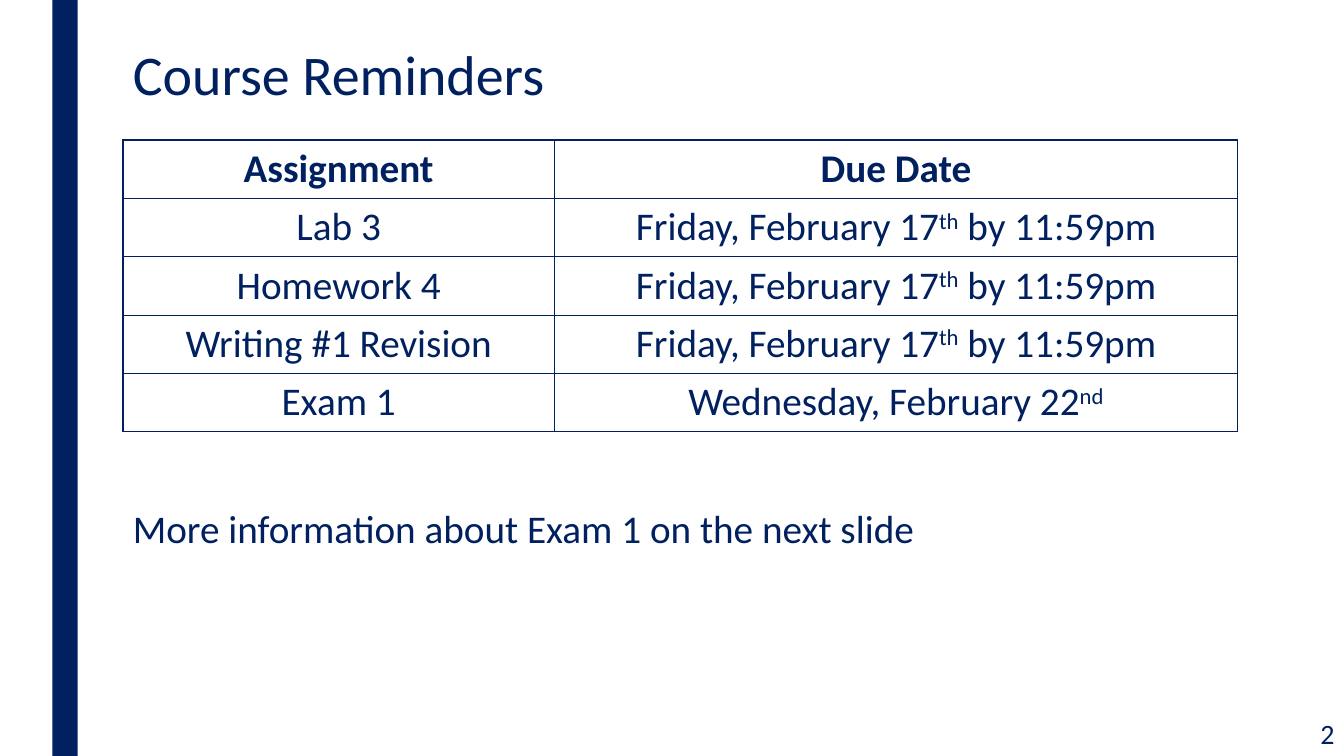
from lxml import etree
from pptx import Presentation
from pptx.dml.color import RGBColor
from pptx.enum.shapes import MSO_SHAPE
from pptx.enum.text import MSO_ANCHOR, PP_ALIGN
from pptx.oxml.ns import qn
from pptx.util import Cm, Pt

NAVY = RGBColor(0x00, 0x20, 0x60)
FONT = "Calibri"
RECTANGLE = MSO_SHAPE.RECTANGLE
TOP, MIDDLE = MSO_ANCHOR.TOP, MSO_ANCHOR.MIDDLE
LEFT, CENTER, RIGHT = PP_ALIGN.LEFT, PP_ALIGN.CENTER, PP_ALIGN.RIGHT

SLIDE_WIDTH, SLIDE_HEIGHT = Cm(33.87), Cm(19.05)
CONTENT_LEFT, CONTENT_WIDTH = Cm(3.1), Cm(28.09)
COLUMN_WIDTHS = [Cm(10.87), Cm(17.22)]
ROW_HEIGHT = Cm(1.47)
SUPERSCRIPT_MARK = "^"

FRIDAY = "Friday, February 17^th^ by 11:59pm"
REMINDERS = [
    ("Assignment", "Due Date"),
    ("Lab 3", FRIDAY),
    ("Homework 4", FRIDAY),
    ("Writing #1 Revision", FRIDAY),
    ("Exam 1", "Wednesday, February 22^nd^"),
]


def apply_format(target, values):
    for name, value in values.items():
        setattr(target, name, value)


def write_text(frame, text, size, paragraph_format, bold=False):
    paragraph = frame.paragraphs[0]
    apply_format(paragraph, paragraph_format)
    for index, part in enumerate(text.split(SUPERSCRIPT_MARK)):
        if not part:
            continue
        run = paragraph.add_run()
        run.text = part
        apply_format(run.font, {"name": FONT, "size": Pt(size), "bold": bold})
        run.font.color.rgb = NAVY
        if index % 2:
            run._r.get_or_add_rPr().set("baseline", "30000")


def add_text(slide, box, text, size, paragraph_format, anchor=TOP):
    frame = slide.shapes.add_textbox(*box).text_frame
    apply_format(frame, {"word_wrap": True, "vertical_anchor": anchor})
    write_text(frame, text, size, paragraph_format)


def add_side_bar(slide):
    bar = slide.shapes.add_shape(RECTANGLE, Cm(1.32), 0, Cm(0.64), SLIDE_HEIGHT)
    bar.shadow.inherit = False
    bar.fill.solid()
    bar.fill.fore_color.rgb = NAVY
    bar.line.fill.background()


def add_borders(cell):
    properties = cell._tc.get_or_add_tcPr()
    for side in ("lnL", "lnR", "lnT", "lnB"):
        border = etree.SubElement(properties, qn(f"a:{side}"), w=str(Pt(1)))
        fill = etree.SubElement(border, qn("a:solidFill"))
        etree.SubElement(fill, qn("a:srgbClr"), val=str(NAVY))


def add_reminder_table(slide):
    table = slide.shapes.add_table(
        len(REMINDERS), len(COLUMN_WIDTHS), CONTENT_LEFT, Cm(3.53),
        CONTENT_WIDTH, ROW_HEIGHT * len(REMINDERS),
    ).table
    apply_format(table, {"first_row": False, "horz_banding": False})
    for column, width in zip(table.columns, COLUMN_WIDTHS):
        column.width = width
    for row_index, reminder in enumerate(REMINDERS):
        table.rows[row_index].height = ROW_HEIGHT
        for column_index, text in enumerate(reminder):
            cell = table.cell(row_index, column_index)
            cell.vertical_anchor = MIDDLE
            add_borders(cell)
            cell.fill.background()
            write_text(cell.text_frame, text, 28, {"alignment": CENTER}, bold=row_index == 0)


def main():
    presentation = Presentation()
    apply_format(presentation, {"slide_width": SLIDE_WIDTH, "slide_height": SLIDE_HEIGHT})
    slide = presentation.slides.add_slide(presentation.slide_layouts[6])

    add_side_bar(slide)
    add_text(slide, (CONTENT_LEFT, Cm(1.07), CONTENT_WIDTH, Cm(2.06)),
             "Course Reminders", 40, {"alignment": LEFT, "line_spacing": 0.89})
    add_text(slide, (Cm(29.44), Cm(17.93), Cm(4.44), Cm(1.12)),
             "2", 20, {"alignment": RIGHT}, MIDDLE)
    add_reminder_table(slide)
    add_text(slide, (CONTENT_LEFT, Cm(12.67), CONTENT_WIDTH, Cm(5.46)),
             "More information about Exam 1 on the next slide", 28,
             {"alignment": LEFT, "line_spacing": 0.94,
              "space_before": Pt(10), "space_after": Pt(2)})

    presentation.save("out.pptx")


if __name__ == "__main__":
    main()
